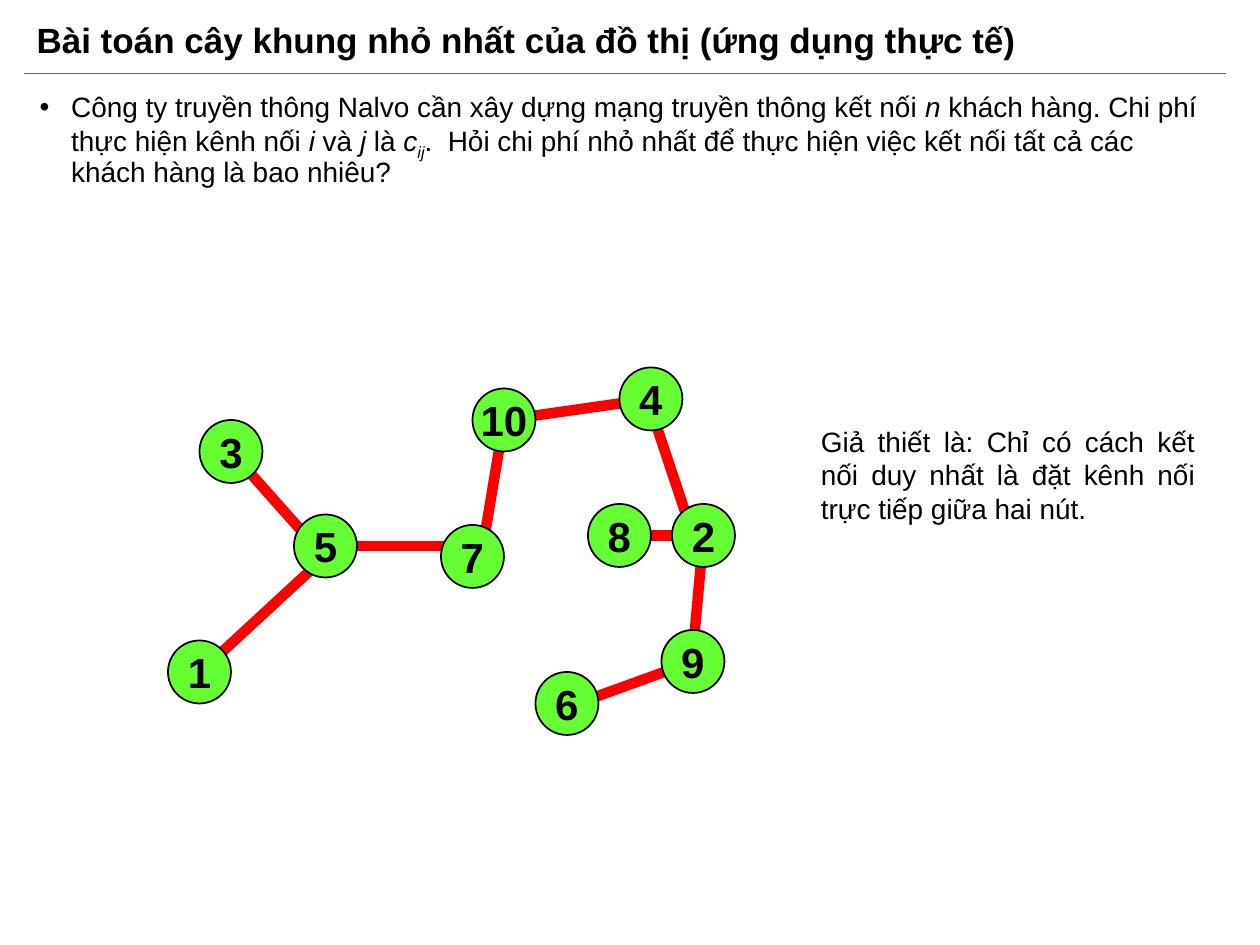
from dataclasses import dataclass

from lxml import etree
from pptx import Presentation
from pptx.dml.color import RGBColor
from pptx.enum.shapes import MSO_CONNECTOR, MSO_SHAPE
from pptx.enum.text import MSO_ANCHOR, MSO_AUTO_SIZE, PP_ALIGN
from pptx.oxml.ns import qn
from pptx.util import Emu, Pt

STRAIGHT = MSO_CONNECTOR.STRAIGHT
OVAL = MSO_SHAPE.OVAL
TOP = MSO_ANCHOR.TOP
MIDDLE = MSO_ANCHOR.MIDDLE
FIT_SHAPE = MSO_AUTO_SIZE.SHAPE_TO_FIT_TEXT
CENTER = PP_ALIGN.CENTER
JUSTIFY = PP_ALIGN.JUSTIFY

EMU_PER_PX = 7620
NODE_SIZE = 60
BULLET_INDENT = 30
FONT_NAME = "Arial"
BLACK = "000000"
RULE_GRAY = "666666"
EDGE_RED = "FF0000"
NODE_GREEN = "66FF33"


@dataclass(frozen=True)
class Span:
    text: str
    italic: bool = False
    subscript: bool = False


@dataclass(frozen=True)
class Box:
    left: int
    top: int
    width: int
    height: int


@dataclass(frozen=True)
class Node:
    label: str
    left: int
    top: int


@dataclass(frozen=True)
class Edge:
    x1: int
    y1: int
    x2: int
    y2: int


TITLE = [Span("Bài toán cây khung nhỏ nhất của đồ thị (ứng dụng thực tế)")]
PROBLEM = [
    Span("Công ty truyền thông Nalvo cần xây dựng mạng truyền thông kết nối "),
    Span("n", italic=True),
    Span(" khách hàng. Chi phí thực hiện kênh nối "),
    Span("i", italic=True),
    Span(" và "),
    Span("j", italic=True),
    Span(" là "),
    Span("c", italic=True),
    Span("ij", italic=True, subscript=True),
    Span(".  Hỏi chi phí nhỏ nhất để thực hiện việc kết nối tất cả các khách hàng là bao nhiêu?"),
]
ASSUMPTION = [
    Span("Giả thiết là: Chỉ có cách kết nối duy nhất là đặt kênh nối trực tiếp giữa hai nút.")
]

RULE = Edge(23, 70, 1168, 70)
EDGES = [
    Edge(310, 530, 180, 650),
    Edge(300, 520, 220, 430),
    Edge(310, 520, 440, 520),
    Edge(460, 520, 480, 400),
    Edge(590, 510, 660, 510),
    Edge(620, 390, 660, 510),
    Edge(670, 510, 660, 620),
    Edge(660, 630, 550, 670),
    Edge(620, 380, 480, 400),
]
NODES = [
    Node("1", 160, 610),
    Node("6", 510, 640),
    Node("3", 190, 400),
    Node("7", 420, 500),
    Node("5", 280, 490),
    Node("8", 560, 480),
    Node("9", 630, 600),
    Node("4", 590, 350),
    Node("2", 640, 480),
    Node("10", 450, 370),
]


def px(length: int) -> Emu:
    return Emu(length * EMU_PER_PX)


def color(value: str) -> RGBColor:
    return RGBColor.from_string(value)


def set_values(target, values: dict) -> None:
    for name, value in values.items():
        setattr(target, name, value)


def add_span(para, span: Span, size: int, bold: bool) -> None:
    run = para.add_run()
    run.text = span.text
    set_values(run.font, {"name": FONT_NAME, "size": Pt(size), "bold": bold, "italic": span.italic})
    run.font.color.rgb = color(BLACK)
    if span.subscript:
        run.font._element.set("baseline", "-25000")


def add_bullet(para) -> None:
    properties = para._p.get_or_add_pPr()
    properties.set("marL", str(px(BULLET_INDENT)))
    properties.set("indent", str(-px(BULLET_INDENT)))
    etree.SubElement(properties, qn("a:buFont")).set("typeface", FONT_NAME)
    etree.SubElement(properties, qn("a:buChar")).set("char", "•")


def add_text(shapes, box: Box, spans: list[Span], size: int, frame_format: dict,
             para_format: dict, bold: bool = False, bullet: bool = False) -> None:
    shape = shapes.add_textbox(px(box.left), px(box.top), px(box.width), px(box.height))
    frame = shape.text_frame
    set_values(frame, {"word_wrap": True, **frame_format})
    para = frame.paragraphs[0]
    if bullet:
        add_bullet(para)
    set_values(para, para_format)
    for span in spans:
        add_span(para, span, size, bold)


def add_edge(shapes, edge: Edge, line_color: str, width: float) -> None:
    connector = shapes.add_connector(STRAIGHT, px(edge.x1), px(edge.y1), px(edge.x2), px(edge.y2))
    connector.line.color.rgb = color(line_color)
    connector.line.width = Pt(width)
    etree.SubElement(connector._element.spPr, qn("a:effectLst"))


def add_node(shapes, node: Node) -> None:
    shape = shapes.add_shape(OVAL, px(node.left), px(node.top), px(NODE_SIZE), px(NODE_SIZE))
    shape.shadow.inherit = False
    shape.fill.solid()
    shape.fill.fore_color.rgb = color(NODE_GREEN)
    shape.line.color.rgb = color(BLACK)
    shape.line.width = Pt(1)
    frame = shape.text_frame
    set_values(frame, {"word_wrap": False, "vertical_anchor": MIDDLE})
    para = frame.paragraphs[0]
    para.alignment = CENTER
    add_span(para, Span(node.label), 24, True)


def main() -> None:
    deck = Presentation()
    set_values(deck, {"slide_width": px(1200), "slide_height": px(900)})
    page = deck.slides.add_slide(deck.slide_layouts[6])

    add_text(page.shapes, Box(23, 10, 1034, 60), TITLE, 20,
             {"vertical_anchor": MIDDLE}, {"line_spacing": 0.9}, bold=True)
    add_edge(page.shapes, RULE, RULE_GRAY, 0.5)
    add_text(page.shapes, Box(26, 83, 1136, 647), PROBLEM, 16,
             {"vertical_anchor": TOP}, {"line_spacing": 0.9}, bullet=True)

    graph = page.shapes.add_group_shape()
    for edge in EDGES:
        add_edge(graph.shapes, edge, EDGE_RED, 6)
    for node in NODES:
        add_node(graph.shapes, node)

    add_text(page.shapes, Box(770, 398, 380, 109), ASSUMPTION, 16,
             {"vertical_anchor": TOP, "auto_size": FIT_SHAPE}, {"alignment": JUSTIFY})
    deck.save("out.pptx")


if __name__ == "__main__":
    main()
